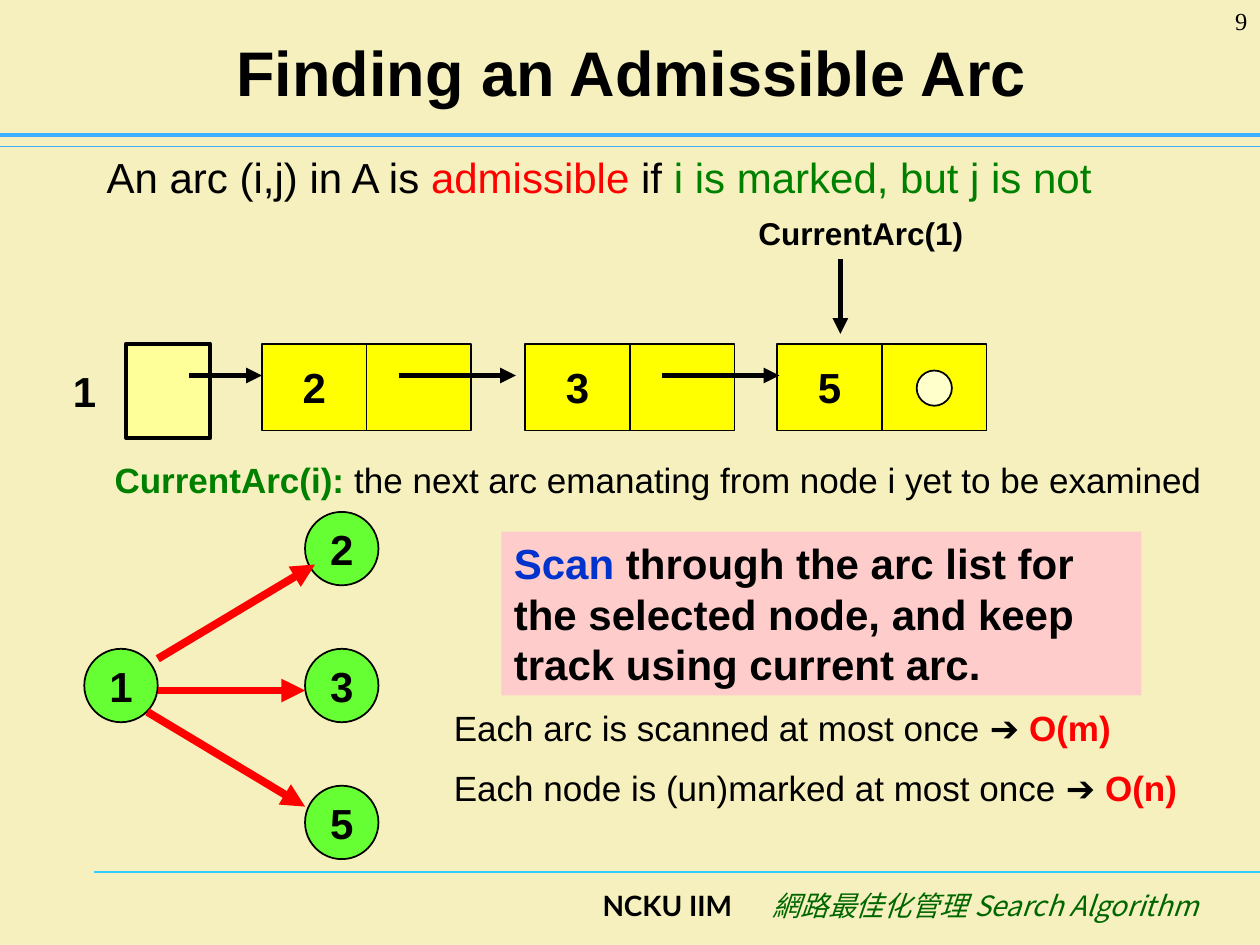
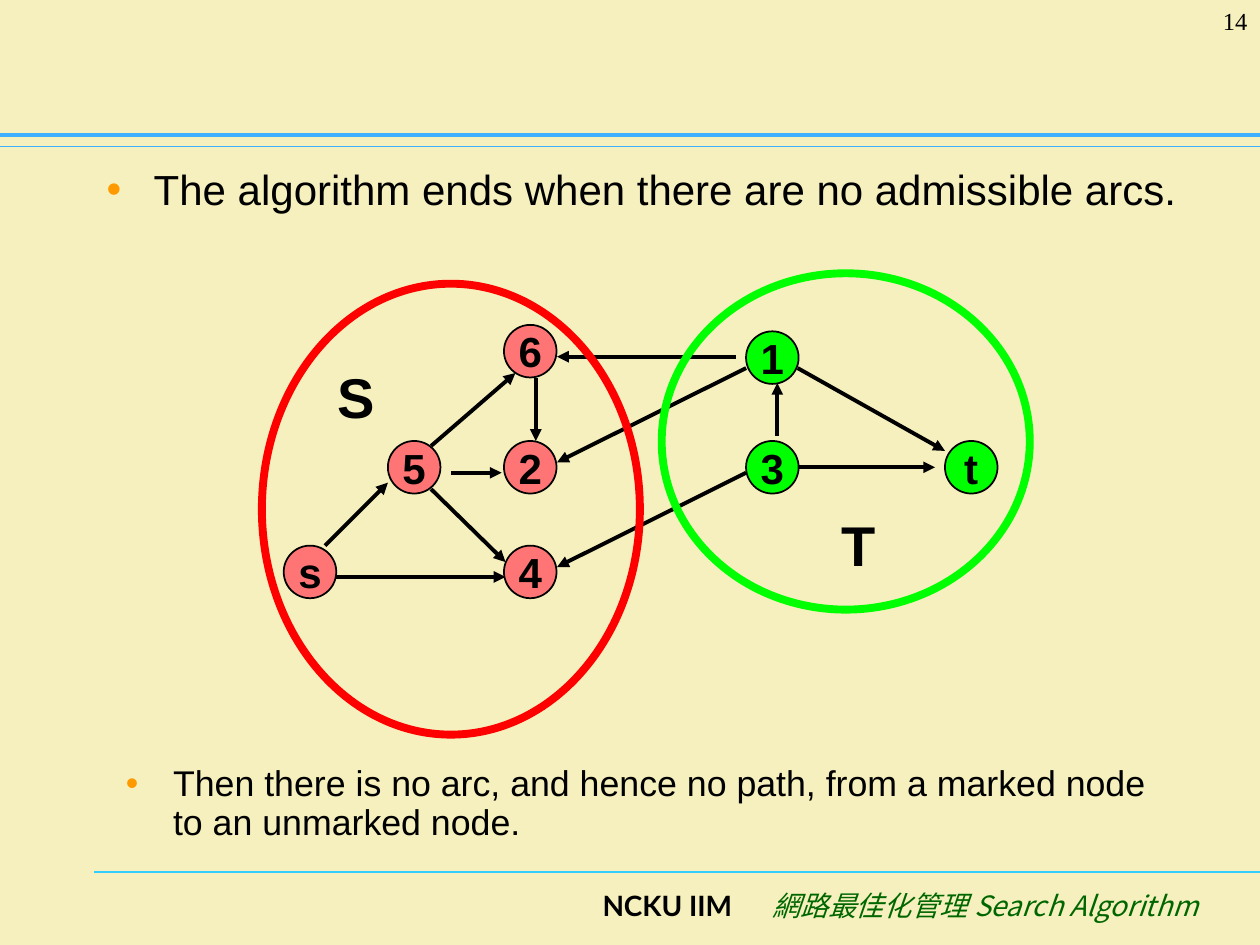
from dataclasses import dataclass

from lxml import etree
from pptx import Presentation
from pptx.dml.color import RGBColor
from pptx.enum.shapes import MSO_CONNECTOR, MSO_SHAPE
from pptx.enum.text import MSO_ANCHOR, MSO_AUTO_SIZE, PP_ALIGN
from pptx.oxml.ns import qn
from pptx.util import Cm, Pt

LEFT, CENTER, RIGHT = PP_ALIGN.LEFT, PP_ALIGN.CENTER, PP_ALIGN.RIGHT
TOP, MIDDLE = MSO_ANCHOR.TOP, MSO_ANCHOR.MIDDLE
RECT, OVAL = MSO_SHAPE.RECTANGLE, MSO_SHAPE.OVAL
STRAIGHT = MSO_CONNECTOR.STRAIGHT
NO_FIT = MSO_AUTO_SIZE.NONE
TITLE_ONLY, BLANK = 5, 6
WIDTH, HEIGHT = 25.4, 19.05


@dataclass(frozen=True)
class Theme:
    background: str = "F5F0BD"
    band: str = "3DB0FF"
    footer_rule: str = "33CCFF"
    footer_text: str = "006600"
    ink: str = "000000"
    red: str = "FF0000"
    green: str = "008000"
    blue: str = "0033CC"
    bullet: str = "FF9900"
    callout: str = "FFCCCC"
    list_head: str = "FFFF99"
    list_cell: str = "FFFF00"
    list_end: str = "FFFFCC"
    tree_node: str = "66FF33"
    marked: str = "FF7575"
    unmarked: str = "00FF00"
    font: str = "Arial"
    footer_font: str = "Lato"
    cjk_font: str = "Noto Sans CJK SC"
    number_font: str = "Times New Roman"
    title_size: float = 36
    set_size: float = 32
    body_size: float = 24
    note_size: float = 20
    label_size: float = 18
    footer_size: float = 16
    number_size: float = 14


T = Theme()


def rgb(color):
    return RGBColor.from_string(color)


def write(tf, runs, align=LEFT, anchor=TOP, wrap=True, **style):
    """Fill the first paragraph; runs is a string or (text, overrides) pairs."""
    frame_format = {"word_wrap": wrap, "auto_size": NO_FIT,
                    "vertical_anchor": anchor}
    for name, value in frame_format.items():
        setattr(tf, name, value)
    p = tf.paragraphs[0]
    p.alignment = align
    if isinstance(runs, str):
        runs = [(runs, {})]
    for text, overrides in runs:
        values = {"name": T.font, "size": T.body_size, "bold": False,
                  "color": T.ink, **style, **overrides}
        color = values.pop("color")
        values["size"] = Pt(values["size"])
        r = p.add_run()
        r.text = text
        for name, value in values.items():
            setattr(r.font, name, value)
        r.font.color.rgb = rgb(color)
        east_asian = etree.SubElement(r.font._element, qn("a:ea"))
        east_asian.set("typeface", values["name"])
    return p


def add_text(s, box, runs, **style):
    tf = s.shapes.add_textbox(*map(Cm, box)).text_frame
    return write(tf, runs, **style)


def add_bullet(s, box, text, spacing=1.0, **style):
    p = add_text(s, box, text, **style)
    p.line_spacing = spacing
    props = p._p.get_or_add_pPr()
    props.set("marL", str(Cm(0.95)))
    props.set("indent", str(-Cm(0.95)))
    color = etree.SubElement(props, qn("a:buClr"))
    etree.SubElement(color, qn("a:srgbClr")).set("val", T.bullet)
    etree.SubElement(props, qn("a:buFont")).set("typeface", T.font)
    etree.SubElement(props, qn("a:buChar")).set("char", "•")


def add_box(s, kind, box, fill=None, line=T.ink, width=1.0):
    sp = s.shapes.add_shape(kind, *map(Cm, box))
    sp.shadow.inherit = False
    if fill:
        sp.fill.solid()
        sp.fill.fore_color.rgb = rgb(fill)
    else:
        sp.fill.background()
    if line:
        sp.line.color.rgb = rgb(line)
        sp.line.width = Pt(width)
    else:
        sp.line.fill.background()
    return sp


def add_labelled(s, kind, box, label, fill):
    sp = add_box(s, kind, box, fill)
    write(sp.text_frame, label, CENTER, MIDDLE, wrap=False, bold=True)


def add_line(s, points, color=T.ink, width=2.25, arrow=True):
    cx = s.shapes.add_connector(STRAIGHT, *map(Cm, points))
    cx.line.color.rgb = rgb(color)
    cx.line.width = Pt(width)
    if arrow:
        etree.SubElement(cx.line._get_or_add_ln(),
                         qn("a:tailEnd")).set("type", "triangle")
    etree.SubElement(cx._element.spPr, qn("a:effectLst"))


def add_slide(prs, number, title=None):
    """Add a slide with the common bands, footer and page number."""
    layout = TITLE_ONLY if title else BLANK
    s = prs.slides.add_slide(prs.slide_layouts[layout])
    for x, y, color, width in ((1.9, 17.58, T.footer_rule, 0.75),
                               (0, 2.95, T.band, 0.75),
                               (0, 2.72, T.band, 2.5)):
        add_line(s, (x, y, WIDTH, y), color, width, arrow=False)
    add_text(s, (4.65, 17.78, 10.36, 1.27), "NCKU IIM", align=RIGHT,
             name=T.footer_font, size=T.footer_size, bold=True)
    add_text(s, (15.01, 17.78, 9.4, 1.27), "網路最佳化管理 Search Algorithm",
             align=RIGHT, name=T.cjk_font, size=T.footer_size, italic=True,
             color=T.footer_text)
    add_text(s, (23.29, 0, 2.11, 1.27), str(number), align=RIGHT,
             name=T.number_font, size=T.number_size)
    if title:
        sp = s.shapes.title
        place = dict(zip(("left", "top", "width", "height"),
                         map(Cm, (1.3, 0.33, 22.86, 2.21))))
        for name, value in place.items():
            setattr(sp, name, value)
        write(sp.text_frame, title, CENTER, MIDDLE, size=T.title_size, bold=True)
    return s


def add_arc_list(s):
    """Draw node 1's linked list of arcs and its CurrentArc pointer."""
    top, cell_w, cell_h, link_y = 6.93, 2.11, 1.75, 7.57
    add_text(s, (1.07, 7.14, 1.27, 1.47), "1", align=CENTER, anchor=MIDDLE,
             wrap=False, bold=True)
    add_box(s, RECT, (2.54, top, 1.7, 1.9), T.list_head, width=2.25)
    cells = {"2": 5.28, "3": 10.59, "5": 15.67}
    for label, x in cells.items():
        add_labelled(s, RECT, (x, top, cell_w, cell_h), label, T.list_cell)
        add_box(s, RECT, (x + cell_w, top, cell_w, cell_h), T.list_cell)
    add_box(s, OVAL, (cells["5"] + cell_w + 0.7, 7.47, 0.71, 0.71), T.list_end)
    for start, length in ((3.81, 1.47), (cells["2"] + 2.76, 2.36),
                          (cells["3"] + 2.76, 2.36)):
        add_line(s, (start, link_y, start + length, link_y), width=3)
    add_text(s, (15.04, 4.19, 5.08, 1.02), "CurrentArc(1)",
             size=T.label_size, bold=True)
    add_line(s, (16.94, 5.23, 16.94, 6.73), width=3)


def add_arc_tree(s):
    size, root_y, step = 1.48, 13.08, 2.76
    add_labelled(s, OVAL, (1.7, root_y, size, size), "1", T.tree_node)
    for i, label in enumerate("235"):
        y = root_y + (i - 1) * step
        add_labelled(s, OVAL, (6.15, y, size, size), label, T.tree_node)
    for points in ((3.18, 13.28, 6.35, 11.38), (3.18, 13.92, 6.15, 13.92),
                   (2.97, 14.35, 6.15, 16.26)):
        add_line(s, points, T.red, 4.5)


def build_admissible_arc(prs):
    s = add_slide(prs, 9, "Finding an Admissible Arc")
    add_text(s, (1.9, 2.92, 20.45, 1.27),
             [("An arc (i,j) in A is ", {}), ("admissible", {"color": T.red}),
              (" if ", {}), ("i is marked, but j is not", {"color": T.green})],
             wrap=False)
    add_arc_list(s)
    add_text(s, (2.06, 9.12, 22.43, 1.12),
             [("CurrentArc(i): ", {"color": T.green, "bold": True}),
              ("the next arc emanating from node i yet to be examined", {})],
             wrap=False, size=T.note_size)
    add_arc_tree(s)
    callout = add_box(s, RECT, (10.11, 10.72, 12.9, 3.3), T.callout, line=None)
    write(callout.text_frame,
          [("Scan", {"color": T.blue}),
           (" through the arc list for the selected node, "
            "and keep track using current arc.", {})], bold=True)
    for y, claim, bound in (
            (14.12, "Each arc is scanned at most once ➔ ", "O(m)"),
            (15.32, "Each node is (un)marked at most once ➔ ", "O(n)")):
        add_text(s, (8.9, y, 15.6, 1.12),
                 [(claim, {}), (bound, {"color": T.red, "bold": True})],
                 size=T.note_size)


def add_cut_network(s):
    """Draw the arcs, the nodes, and the outlines of the sets S and T."""
    for points in (
            (6.55, 11, 7.82, 9.73),         # s to 5
            (6.78, 11.63, 10.19, 11.63),    # s to 4
            (8.69, 9.86, 10.19, 11.33),     # 5 to 4
            (8.69, 8.99, 10.39, 7.52),      # 5 to 6
            (9.09, 9.53, 10.11, 9.53),      # 5 to 2
            (10.8, 7.62, 10.8, 8.89),       # 6 to 2
            (15.04, 9.53, 11.23, 11.43),    # 3 to 4
            (15.04, 7.42, 11.23, 9.32),     # 1 to 2
            (14.83, 7.19, 11.23, 7.19),     # 1 to 6
            (16.08, 7.42, 19.05, 9.09),     # 1 to t
            (16.1, 9.42, 18.85, 9.42),      # 3 to t
            (15.67, 8.79, 15.67, 7.72)):    # 3 to 1
        add_line(s, points)
    size, row = 1.06, 8.89
    marked = {"s": (5.72, 11), "5": (7.82, row), "4": (10.16, 11),
              "2": (10.16, row), "6": (10.16, 6.55)}
    unmarked = {"1": (15.04, 6.68), "3": (15.04, row), "t": (19.05, row)}
    for nodes, fill in ((marked, T.marked), (unmarked, T.unmarked)):
        for label, (x, y) in nodes.items():
            add_labelled(s, OVAL, (x, y, size, size), label, fill)
    for label, x, y, outline, color in (
            ("S", 6.55, 7.19, (5.28, 5.72, 7.62, 9.09), T.red),
            ("T", 16.71, 10.16, (13.34, 5.51, 7.42, 6.78), T.unmarked)):
        add_box(s, OVAL, outline, line=color, width=4.5)
        add_text(s, (x, y, 1.7, 1.63), label, size=T.set_size, bold=True)


def build_termination(prs):
    s = add_slide(prs, 14)
    add_bullet(s, (1.9, 3.18, 22.4, 2.11),
               "The algorithm ends when there are no admissible arcs.")
    add_cut_network(s)
    add_bullet(s, (2.29, 15.32, 21.46, 2.11),
               "Then there is no arc, and hence no path, "
               "from a marked node to an unmarked node.",
               spacing=0.9, size=20.4)


def main():
    prs = Presentation()
    prs.slide_width, prs.slide_height = Cm(WIDTH), Cm(HEIGHT)
    fill = prs.slide_master.background.fill
    fill.solid()
    fill.fore_color.rgb = rgb(T.background)
    build_admissible_arc(prs)
    build_termination(prs)
    prs.save("out.pptx")


if __name__ == "__main__":
    main()
